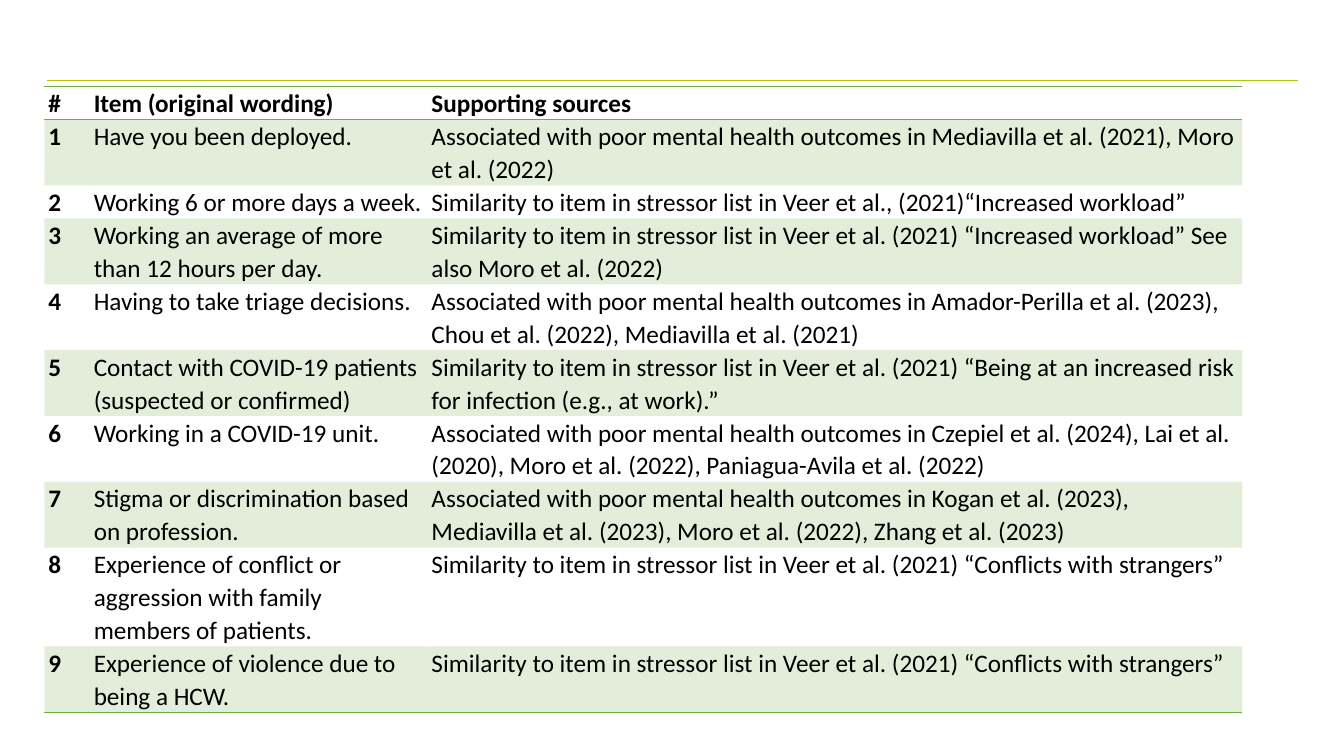
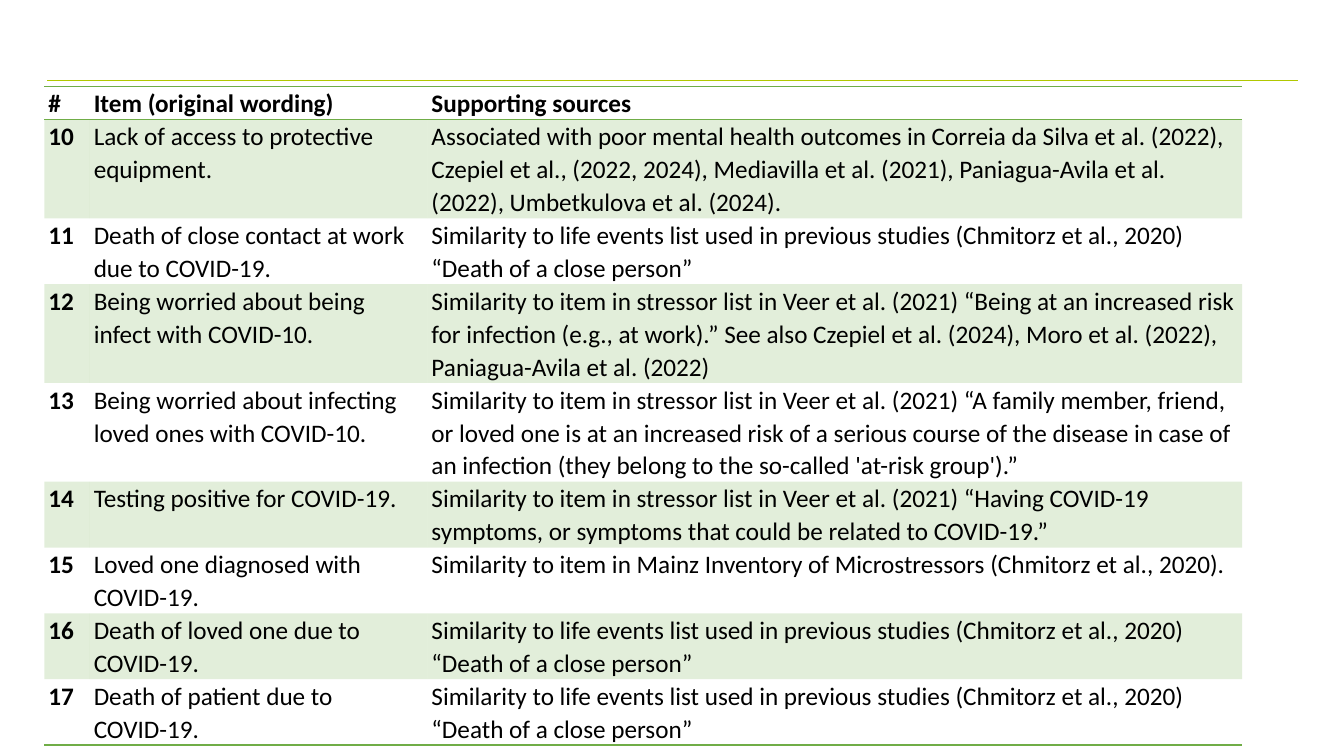
import pptx
import pptx.dml.color
import pptx.enum.shapes
import pptx.oxml.ns
import pptx.oxml.xmlchemy
import pptx.util
from lxml import etree

LIME, GREEN, BLACK = "B1C800", "70AD47", "000000"
PLAIN = "{2D5ABB26-0587-4C30-8999-92F81FD0307C}"  # no style, no grid
HEAD = ("#", "Item (original wording)", "Supporting sources")

# Phrases that recur in the sources column
POOR = "Associated with poor mental health outcomes in "
VEER = "Similarity to item in stressor list in Veer et al. (2021) "
LIFE = ("Similarity to life events list used in previous studies "
        "(Chmitorz et al., 2020) “Death of a close person”")
RISK = "“Being at an increased risk for infection (e.g., at work).”"
FIGHT = VEER + "“Conflicts with strangers”"

# Each row: lines of text, item, sources
PAGES = (
    (
        (2, "Have you been deployed.",
         POOR + "Mediavilla et al. (2021), Moro et al. (2022)"),
        (1, "Working 6 or more days a week.",
         "Similarity to item in stressor list in Veer et al., (2021)"
         "“Increased workload”"),
        (2, "Working an average of more than 12 hours per day.",
         VEER + "“Increased workload” See also Moro et al. (2022)"),
        (2, "Having to take triage decisions.",
         POOR + "Amador-Perilla et al. (2023), Chou et al. (2022), "
         "Mediavilla et al. (2021)"),
        (2, "Contact with COVID-19 patients (suspected or confirmed)",
         VEER + RISK),
        (2, "Working in a COVID-19 unit.",
         POOR + "Czepiel et al. (2024), Lai et al. (2020), "
         "Moro et al. (2022), Paniagua-Avila et al. (2022)"),
        (2, "Stigma or discrimination based on profession.",
         POOR + "Kogan et al. (2023), Mediavilla et al. (2023), "
         "Moro et al. (2022), Zhang et al. (2023)"),
        (3, "Experience of conflict or aggression with family members "
         "of patients.", FIGHT),
        (2, "Experience of violence due to being a HCW.", FIGHT),
    ),
    (
        (3, "Lack of access to protective equipment.",
         POOR + "Correia da Silva et al. (2022), Czepiel et al., "
         "(2022, 2024), Mediavilla et al. (2021), Paniagua-Avila et al. "
         "(2022), Umbetkulova et al. (2024)."),
        (2, "Death of close contact at work due to COVID-19.", LIFE),
        (3, "Being worried about being infect with COVID-10.",
         VEER + RISK + " See also Czepiel et al. (2024), "
         "Moro et al. (2022), Paniagua-Avila et al. (2022)"),
        (3, "Being worried about infecting loved ones with COVID-10.",
         VEER + "“A family member, friend, or loved one is at an increased "
         "risk of a serious course of the disease in case of an infection "
         "(they belong to the so-called 'at-risk group').”"),
        (2, "Testing positive for COVID-19.",
         VEER + "“Having COVID-19 symptoms, or symptoms that could be "
         "related to COVID-19.”"),
        (2, "Loved one diagnosed with COVID-19.",
         "Similarity to item in Mainz Inventory of Microstressors "
         "(Chmitorz et al., 2020)."),
        (2, "Death of loved one due to COVID-19.", LIFE),
        (2, "Death of patient due to COVID-19.", LIFE),
    ),
)


def paint(form, tone):
    """Give a fill or font colour format a solid hex colour."""
    form.rgb = pptx.dml.color.RGBColor.from_string(tone)


def node(up, tag, **attrs):
    return etree.SubElement(up, pptx.oxml.ns.qn(tag), **attrs)


def write(frame, text, size=18, bold=False, tone=BLACK, face="Calibri"):
    para = frame.paragraphs[0]
    para.text = text
    para.line_spacing = 1.07
    para.space_after = pptx.util.Pt(8)
    font = para.runs[0].font
    font.size, font.bold, font.name = pptx.util.Pt(size), bold, face
    paint(font.color, tone)


class Deck:
    """Style and current slide; lengths are percent of the slide."""

    cols = (3.38, 25.13, 60.62)
    line = 4.27  # height of one line of table text

    def __init__(self):
        self.show = pptx.Presentation()
        self.show.slide_width = pptx.util.Inches(13.33)
        self.show.slide_height = pptx.util.Inches(7.5)

    def wide(self, share):
        return round(self.show.slide_width * share / 100)

    def high(self, share):
        return round(self.show.slide_height * share / 100)

    def page(self):
        self.slide = self.show.slides.add_slide(self.show.slide_layouts[6])
        self.rule(96.55, 3.53, 10.67)

    def rule(self, start, end, top):
        kind = pptx.enum.shapes.MSO_CONNECTOR.STRAIGHT
        rule = self.slide.shapes.add_connector(
            kind, self.wide(start), self.high(top),
            self.wide(end), self.high(top))
        rule.line.width = pptx.util.Pt(1.2)
        paint(rule.line.color, LIME)
        node(rule._element.spPr, "a:effectLst")

    def cell(self, cell, text, bold, band, edges):
        cell.margin_left = cell.margin_right = pptx.util.Inches(0.04)
        cell.margin_top = cell.margin_bottom = 0
        write(cell.text_frame, text, bold=bold)
        props = cell._tc.get_or_add_tcPr()
        # Borders come before the fill
        for edge in edges:
            line = node(props, edge, w=str(pptx.util.Pt(1)))
            node(node(line, "a:solidFill"), "a:srgbClr", val=GREEN)
        if band:
            tint = node(node(props, "a:solidFill"), "a:srgbClr", val=GREEN)
            node(tint, "a:alpha", val="20000")
        else:
            node(props, "a:noFill")

    def table(self, rows, first):
        lines = [1] + [row[0] for row in rows]
        texts = [HEAD] + [(str(num), item, source) for num, (_, item, source)
                          in enumerate(rows, first)]
        grid = self.slide.shapes.add_table(
            len(texts), len(HEAD), self.wide(3.3), self.high(11.47),
            self.wide(sum(self.cols)), self.high(sum(lines) * self.line)).table
        grid._tbl.tblPr.find(pptx.oxml.ns.qn("a:tableStyleId")).text = PLAIN
        for col, share in zip(grid.columns, self.cols):
            col.width = self.wide(share)
        for r, texts_row in enumerate(texts):
            grid.rows[r].height = self.high(lines[r] * self.line)
            # Head has two borders, the last row one below
            edges = ("a:lnT", "a:lnB") if r == 0 else ()
            if r == len(rows):
                edges = ("a:lnB",)
            for c, text in enumerate(texts_row):
                self.cell(grid.cell(r, c), text, bold=r == 0 or c == 0,
                          band=r % 2 == 1, edges=edges)


def main():
    deck = Deck()
    first = 1
    for rows in PAGES:
        deck.page()
        deck.table(rows, first)
        first += len(rows)
    deck.show.save("out.pptx")


if __name__ == "__main__":
    main()
